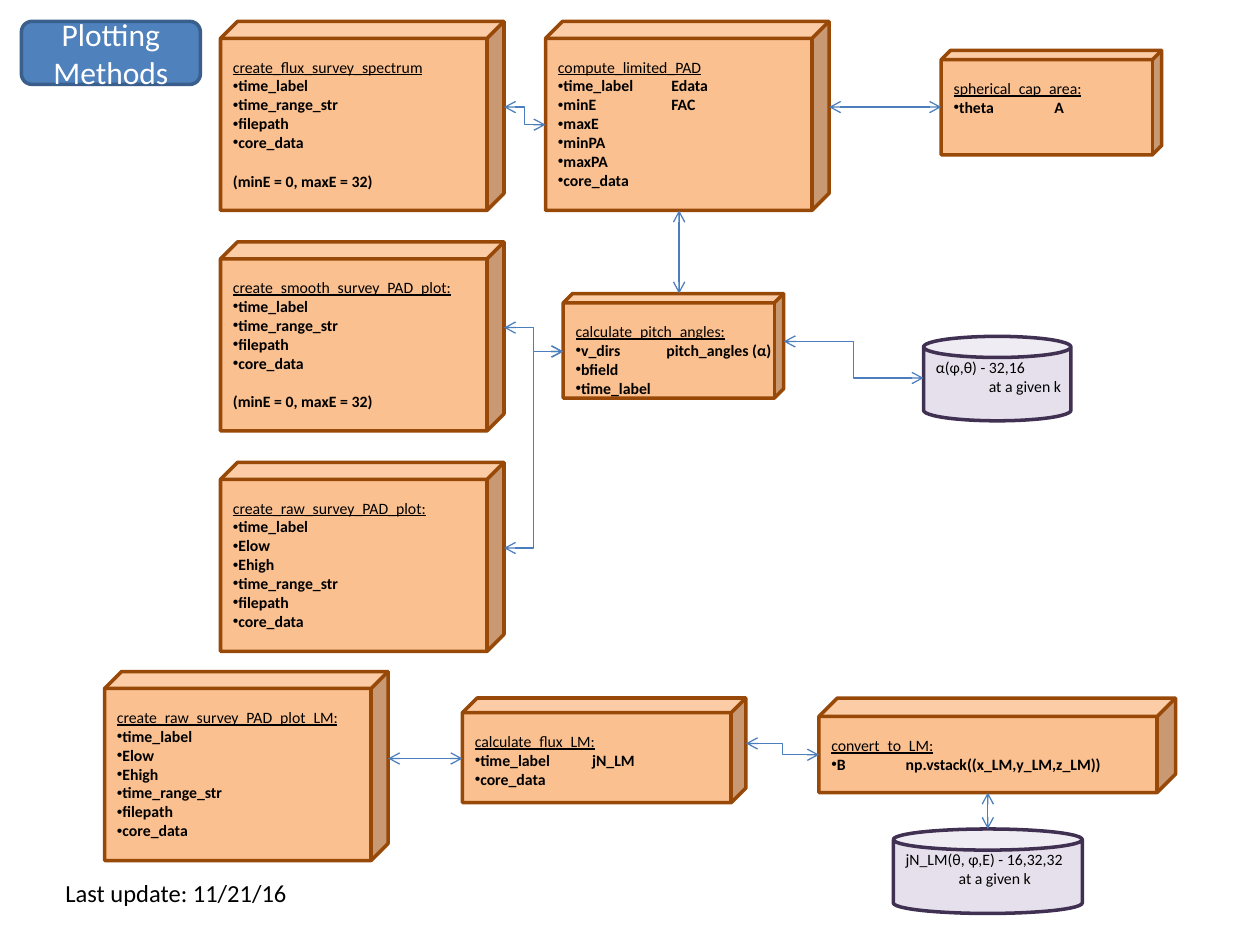
"""Build the plotting methods diagram slide."""
from dataclasses import dataclass

from lxml import etree
from pptx import Presentation
from pptx.dml.color import RGBColor
from pptx.enum.shapes import MSO_CONNECTOR, MSO_SHAPE
from pptx.enum.text import MSO_ANCHOR, MSO_AUTO_SIZE, PP_ALIGN
from pptx.oxml.ns import qn
from pptx.util import Inches, Pt

CUBE, CAN, ROUNDED = MSO_SHAPE.CUBE, MSO_SHAPE.CAN, MSO_SHAPE.ROUNDED_RECTANGLE
ELBOW, STRAIGHT = MSO_CONNECTOR.ELBOW, MSO_CONNECTOR.STRAIGHT
TOP, MIDDLE = MSO_ANCHOR.TOP, MSO_ANCHOR.MIDDLE
LEFT, CENTER = PP_ALIGN.LEFT, PP_ALIGN.CENTER
FIT_SHAPE = MSO_AUTO_SIZE.SHAPE_TO_FIT_TEXT

ORANGE = RGBColor(0xFA, 0xC0, 0x90)
BROWN = RGBColor(0x98, 0x48, 0x07)
LILAC = RGBColor(0xE6, 0xE0, 0xEC)
PURPLE = RGBColor(0x40, 0x31, 0x52)
BLUE = RGBColor(0x4F, 0x81, 0xBD)
DARK_BLUE = RGBColor(0x3A, 0x5F, 0x8C)
LINK_BLUE = RGBColor(0x4B, 0x7E, 0xBC)
BLACK = RGBColor(0, 0, 0)
WHITE = RGBColor(0xFF, 0xFF, 0xFF)

FONT = "Calibri"
LINE_HEIGHT = 0.15


@dataclass(frozen=True)
class Method:
    """A cube that lists a method, its arguments and its results."""
    name: str
    left: float
    top: float
    width: float
    height: float
    arguments: tuple[str, ...]
    note: str = ""
    result_tab: float = 0.9
    depth: float = 0.09


@dataclass(frozen=True)
class Store:
    """A can that describes a stored array."""
    text: str
    left: float
    top: float
    width: float


@dataclass(frozen=True)
class Link:
    """A two-headed arrow between two points."""
    start: tuple[float, float]
    end: tuple[float, float]


SURVEY = ("time_label", "time_range_str", "filepath", "core_data")
RAW = ("time_label", "Elow", "Ehigh", "time_range_str", "filepath", "core_data")
LIMITED = ("time_label\tEdata", "minE\tFAC", "maxE", "minPA", "maxPA", "core_data")
RANGE_NOTE = "(minE = 0, maxE = 32)"

METHODS = (
    Method("create_flux_survey_spectrum", 1.75, 0.17, 2.25, 1.5, SURVEY, RANGE_NOTE),
    Method("create_smooth_survey_PAD_plot:", 1.75, 1.92, 2.25, 1.5, SURVEY, RANGE_NOTE),
    Method("create_raw_survey_PAD_plot:", 1.75, 3.67, 2.25, 1.5, RAW),
    Method("create_raw_survey_PAD_plot_LM:", 0.83, 5.33, 2.25, 1.5, RAW),
    Method("compute_limited_PAD", 4.33, 0.17, 2.25, 1.5, LIMITED),
    Method("calculate_pitch_angles:", 4.47, 2.33, 1.75, 0.83,
           ("v_dirs\tpitch_angles (α)", "bfield", "time_label"), result_tab=0.72),
    Method("spherical_cap_area:", 7.47, 0.4, 1.75, 0.83, ("theta\tA",), result_tab=0.8),
    Method("calculate_flux_LM:", 3.67, 5.54, 2.25, 0.83,
           ("time_label\tjN_LM", "core_data"), result_tab=0.93, depth=0.14),
    Method("convert_to_LM:", 6.5, 5.54, 2.83, 0.75,
           ("B\tnp.vstack((x_LM,y_LM,z_LM))",), result_tab=0.59, depth=0.195),
)
STORES = (
    Store("α(φ,θ) - 32,16", 7.33, 2.67, 1.17),
    Store("jN_LM(θ, φ,E) - 16,32,32", 7.09, 6.58, 1.5),
)
LINKS = (
    Link((4, 0.85), (4.33, 0.99)),
    Link((6.58, 0.85), (7.47, 0.85)),
    Link((5.39, 1.67), (5.39, 2.33)),
    Link((4, 2.6), (4.47, 2.79)),
    Link((4, 4.35), (4.47, 2.79)),
    Link((6.22, 2.71), (7.33, 3)),
    Link((3.08, 6.02), (3.67, 6.02)),
    Link((5.92, 5.9), (6.5, 5.99)),
    Link((7.84, 6.29), (7.84, 6.58)),
)


def write(para, text: str, *, size: float = 9, color: RGBColor = BLACK,
          bold: bool = False, underline: bool = False, align=LEFT,
          before: float = 0, indent: float = 0, bullet: bool = False,
          tab: float = 0) -> None:
    """Fill a paragraph with formatted text."""
    para.alignment = align
    para.space_before = Pt(before)
    span = para.add_run()
    span.text = text
    font = span.font
    font.name, font.size, font.bold, font.underline = FONT, Pt(size), bold, underline
    font.color.rgb = color
    properties = para._p.get_or_add_pPr()
    properties.set("marL", str(Inches(indent)))
    properties.set("indent", "0")
    if bullet:
        etree.SubElement(properties, qn("a:buFont"), typeface="Arial")
        etree.SubElement(properties, qn("a:buChar"), char="•")
    if tab:
        stops = etree.SubElement(properties, qn("a:tabLst"))
        etree.SubElement(stops, qn("a:tab"), pos=str(Inches(tab)), algn="l")


def add_box(page, kind, left: float, top: float, width: float, height: float, *,
            fill: RGBColor, line: RGBColor):
    """Add an outlined shape without a shadow."""
    box = page.shapes.add_shape(kind, Inches(left), Inches(top),
                                Inches(width), Inches(height))
    box.shadow.inherit = False
    box.fill.solid()
    box.fill.fore_color.rgb = fill
    box.line.color.rgb = line
    box.line.width = Pt(2)
    return box


def open_frame(box, *, top: float = 0):
    """Prepare a shape for unwrapped text at its top left."""
    frame = box.text_frame
    frame.word_wrap = False
    frame.vertical_anchor = TOP
    frame.margin_left, frame.margin_top = Inches(0.1), Inches(top)
    frame.margin_right = frame.margin_bottom = 0
    return frame


def add_method(page, method: Method) -> None:
    """Draw a method cube."""
    box = add_box(page, CUBE, method.left, method.top, method.width, method.height,
                  fill=ORANGE, line=BROWN)
    box.adjustments[0] = method.depth
    frame = open_frame(box, top=LINE_HEIGHT)
    write(frame.paragraphs[0], method.name, underline=True)
    for argument in method.arguments:
        tab = method.result_tab if "\t" in argument else 0
        write(frame.add_paragraph(), argument, bold=True, bullet=True, tab=tab)
    if method.note:
        write(frame.add_paragraph(), method.note, bold=True, before=11)


def add_store(page, store: Store) -> None:
    """Draw a data store can."""
    box = add_box(page, CAN, store.left, store.top, store.width, 0.67,
                  fill=LILAC, line=PURPLE)
    frame = open_frame(box)
    write(frame.paragraphs[0], store.text)
    write(frame.add_paragraph(), "at a given k", indent=0.42)


def add_link(page, link: Link) -> None:
    """Draw a two-headed arrow."""
    kind = STRAIGHT if link.start[0] == link.end[0] else ELBOW
    points = [Inches(value) for value in link.start + link.end]
    connector = page.shapes.add_connector(kind, *points)
    connector.line.color.rgb = LINK_BLUE
    connector.line.width = Pt(0.75)
    outline = connector.line._get_or_add_ln()
    for end in ("a:headEnd", "a:tailEnd"):
        etree.SubElement(outline, qn(end), type="arrow")
    etree.SubElement(connector._element.spPr, qn("a:effectLst"))


def main() -> None:
    """Build and save the deck."""
    deck = Presentation()
    deck.slide_width, deck.slide_height = Inches(10), Inches(7.5)
    page = deck.slides.add_slide(deck.slide_layouts[6])
    for method in METHODS:
        add_method(page, method)
    for store in STORES:
        add_store(page, store)
    for link in LINKS:
        add_link(page, link)
    title = add_box(page, ROUNDED, 0.17, 0.17, 1.42, 0.5, fill=BLUE, line=DARK_BLUE)
    title.text_frame.vertical_anchor = MIDDLE
    title.text_frame.word_wrap = True
    write(title.text_frame.paragraphs[0], "Plotting Methods", size=18,
          color=WHITE, align=CENTER)
    update = page.shapes.add_textbox(Inches(0.42), Inches(6.92), Inches(1.98), Inches(0.34))
    update.text_frame.word_wrap = False
    update.text_frame.auto_size = FIT_SHAPE
    write(update.text_frame.paragraphs[0], "Last update: 11/21/16", size=14)
    deck.save("out.pptx")


main()
